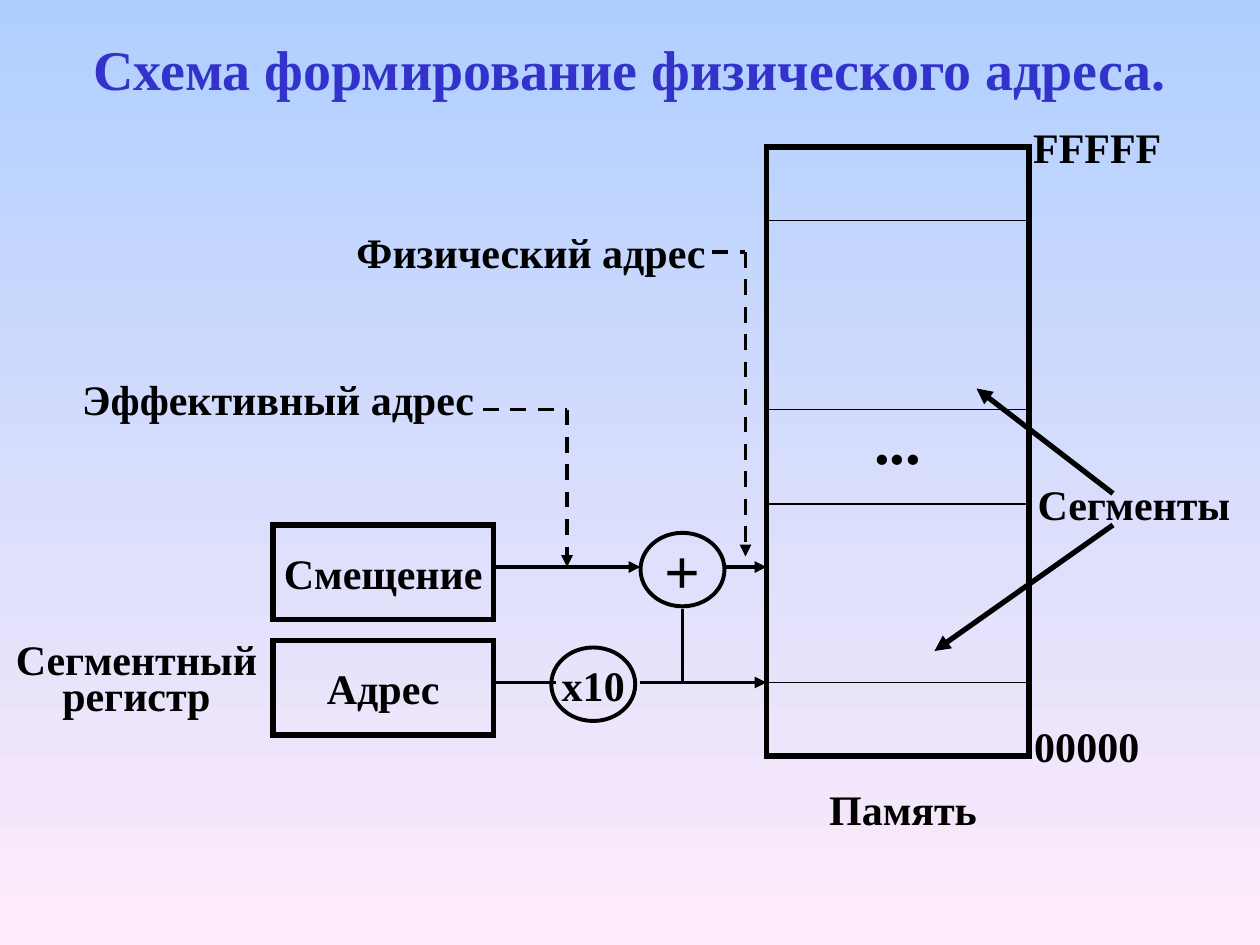
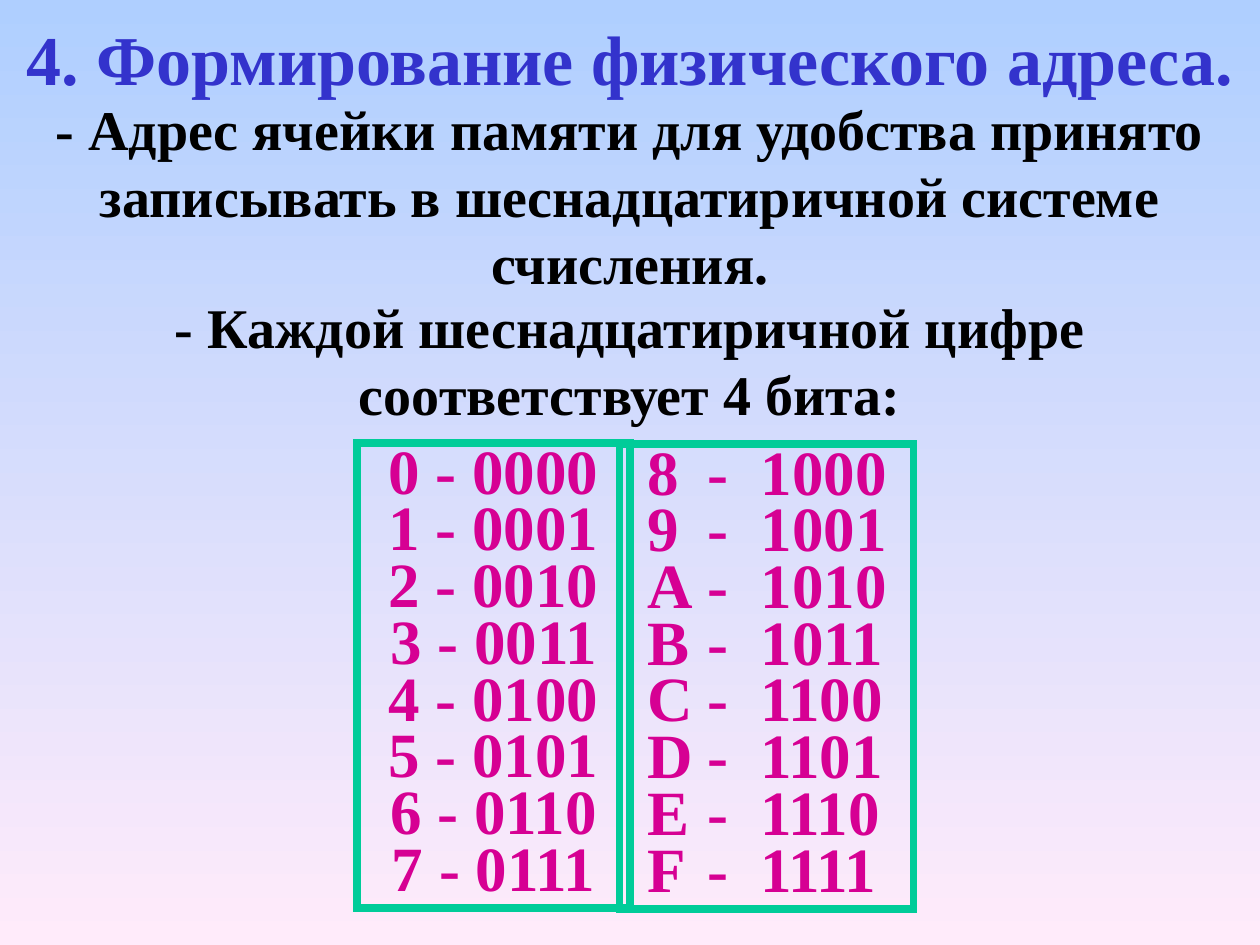
import pptx
import pptx.util
import pptx.dml.color
import pptx.enum.dml
import pptx.enum.shapes
import pptx.enum.text
import pptx.oxml.ns
import lxml.etree

Pt = pptx.util.Pt
ALIGN = pptx.enum.text.PP_ALIGN
ANCHOR = pptx.enum.text.MSO_ANCHOR
SHAPE = pptx.enum.shapes.MSO_SHAPE

# Shared style
FONT = "Times New Roman"
SKY, ROSE = "AFCFFF", "FFEBFA"
BLACK, TITLE, GREEN, PINK = "000000", "3333CC", "00CC99", "D60093"


def rgb(value):
    return pptx.dml.color.RGBColor.from_string(value)


def add_xml(parent, tag, **attributes):
    return lxml.etree.SubElement(parent, pptx.oxml.ns.qn(tag), attributes)


def new_slide(prs, title, size, height):
    """Blank slide with the gradient background and its title."""
    s = prs.slides.add_slide(prs.slide_layouts[6])
    fill = s.background.fill
    fill.gradient()
    fill.gradient_angle = 270
    for stop, colour, position in zip(fill.gradient_stops, (SKY, ROSE), (0, 1)):
        stop.color.rgb = rgb(colour)
        stop.position = position
    add_label(s, (0, 6, 720, height), [title], size, TITLE, ANCHOR.MIDDLE)
    return s


def write(sp, lines, size=24, colour=BLACK, anchor=ANCHOR.TOP, wrap=True,
          spacing=None, indent=None, tabs=()):
    """Fill a shape with bold lines; tabs (from the indent) give left columns."""
    tf = sp.text_frame
    frame = {"word_wrap": wrap, "vertical_anchor": anchor}
    for name, value in frame.items():
        setattr(tf, name, value)
    for i, line in enumerate(lines):
        p = tf.paragraphs[0] if i == 0 else tf.add_paragraph()
        if tabs:
            pPr = p._p.get_or_add_pPr()
            pPr.set("marL", str(Pt(indent)))
            tab_list = add_xml(pPr, "a:tabLst")
            for tab in tabs:
                add_xml(tab_list, "a:tab", pos=str(Pt(tab)), algn="l")
        p.alignment = ALIGN.LEFT if tabs else ALIGN.CENTER
        p.line_spacing = spacing
        r = p.add_run()
        r.text = line
        font = {"name": FONT, "size": Pt(size), "bold": True}
        for name, value in font.items():
            setattr(r.font, name, value)
        r.font.color.rgb = rgb(colour)


def add_label(s, box, lines, size=24, colour=BLACK, anchor=ANCHOR.TOP, **text):
    sp = s.shapes.add_textbox(*map(Pt, box))
    write(sp, lines, size, colour, anchor, **text)


def add_outline(s, kind, box, colour=BLACK, width=3):
    """Unfilled preset shape with sharp corners."""
    sp = s.shapes.add_shape(kind, *map(Pt, box))
    sp.shadow.inherit = False
    sp.fill.background()
    sp.line.color.rgb = rgb(colour)
    sp.line.width = Pt(width)
    add_xml(sp.line._get_or_add_ln(), "a:miter", lim="800000")
    return sp


def add_node(s, kind, box, text, width, size=24):
    sp = add_outline(s, kind, box, width=width)
    write(sp, [text], size, anchor=ANCHOR.MIDDLE, wrap=False)


def add_line(s, start, end, width=2.25, arrow=False, dashed=False):
    line = s.shapes.add_connector(pptx.enum.shapes.MSO_CONNECTOR.STRAIGHT,
                                  *map(Pt, (*start, *end)))
    line.line.color.rgb = rgb(BLACK)
    line.line.width = Pt(width)
    if dashed:
        line.line.dash_style = pptx.enum.dml.MSO_LINE.DASH
    if arrow:
        add_xml(line.line._get_or_add_ln(), "a:tailEnd", type="triangle")
    add_xml(line._element.spPr, "a:effectLst")


def build_scheme(prs):
    s = new_slide(prs, "Схема формирование физического адреса.", 32, 66)
    left, right = 438, 588
    offset_y, address_y = 324, 390

    # Memory and its segments
    add_outline(s, SHAPE.RECTANGLE, (left, 84, right - left, 348))
    for y in (126, 234, 288, address_y):
        add_line(s, (left, y), (right, y), 0.75)
    add_label(s, (468, 226, 90, 50), ["..."], 36)
    for start, end in (((636, 282), (558, 222)), ((636, 300), (534, 372))):
        add_line(s, start, end, 3, arrow=True)

    # Captions
    for text, x, y, width in (("Память", 438, 444, 156),
                              ("00000", 576, 408, 90),
                              ("FFFFF", 582, 66, 90),
                              ("Сегменты", 576, 270, 144),
                              ("Эффективный адрес", 24, 210, 270),
                              ("Физический адрес", 168.5, 126, 270)):
        add_label(s, (x, y, width, 36), [text])
    add_label(s, (0, 366.5, 156, 47.5), ["Сегментный", "регистр"], spacing=0.7)

    # Registers and operations
    for text, y in (("Смещение", 300), ("Адрес", 366)):
        add_node(s, SHAPE.RECTANGLE, (156, y, 126, 54), text, 3)
    for text, x, y, size in (("х10", 315, 370, 24), ("+", 366, 304.5, 36)):
        add_node(s, SHAPE.OVAL, (x, y, 48, 42), text, 2.25, size)

    # Data paths
    add_line(s, (282, address_y), (318, address_y))
    add_line(s, (390, address_y), (390, 348))
    for x1, x2, y in ((366, left, address_y), (414, left, offset_y),
                      (282, 366, offset_y)):
        add_line(s, (x1, y), (x2, y), arrow=True)

    # Dashed pointers from the address captions
    for x, corner, y, bottom in ((276, 324, 234, offset_y), (407, 426, 144, 318)):
        add_line(s, (x, y), (corner, y), dashed=True)
        add_line(s, (corner, y), (corner, bottom), arrow=True, dashed=True)


def build_digits(prs):
    s = new_slide(prs, "4. Формирование физического адреса.", 40, 54)

    # Statements
    for text, y, height in (
            ("- Адрес ячейки памяти для удобства принято записывать "
             "в шеснадцатиричной системе счисления.", 54.5, 114),
            ("- Каждой шеснадцатиричной цифре соответствует 4 бита:", 163.5, 84)):
        add_label(s, (0, y, 720, height), [text], 32, anchor=ANCHOR.MIDDLE)

    # Hexadecimal digits with their four bits
    for first, gap, box, columns in (
            (0, " ", (204, 253, 156, 266), {}),
            (8, "\t", (354, 253.5, 168, 266), {"indent": 9, "tabs": (34, 64.5)})):
        sp = add_outline(s, SHAPE.RECTANGLE, box, GREEN, 4.5)
        rows = [f"{n:X}{gap}-{gap}{n:04b}" for n in range(first, first + 8)]
        write(sp, rows, 36, PINK, spacing=0.75, **columns)


def main():
    prs = pptx.Presentation()
    prs.slide_width, prs.slide_height = Pt(720), Pt(540)
    build_scheme(prs)
    build_digits(prs)
    prs.save("out.pptx")


if __name__ == "__main__":
    main()
